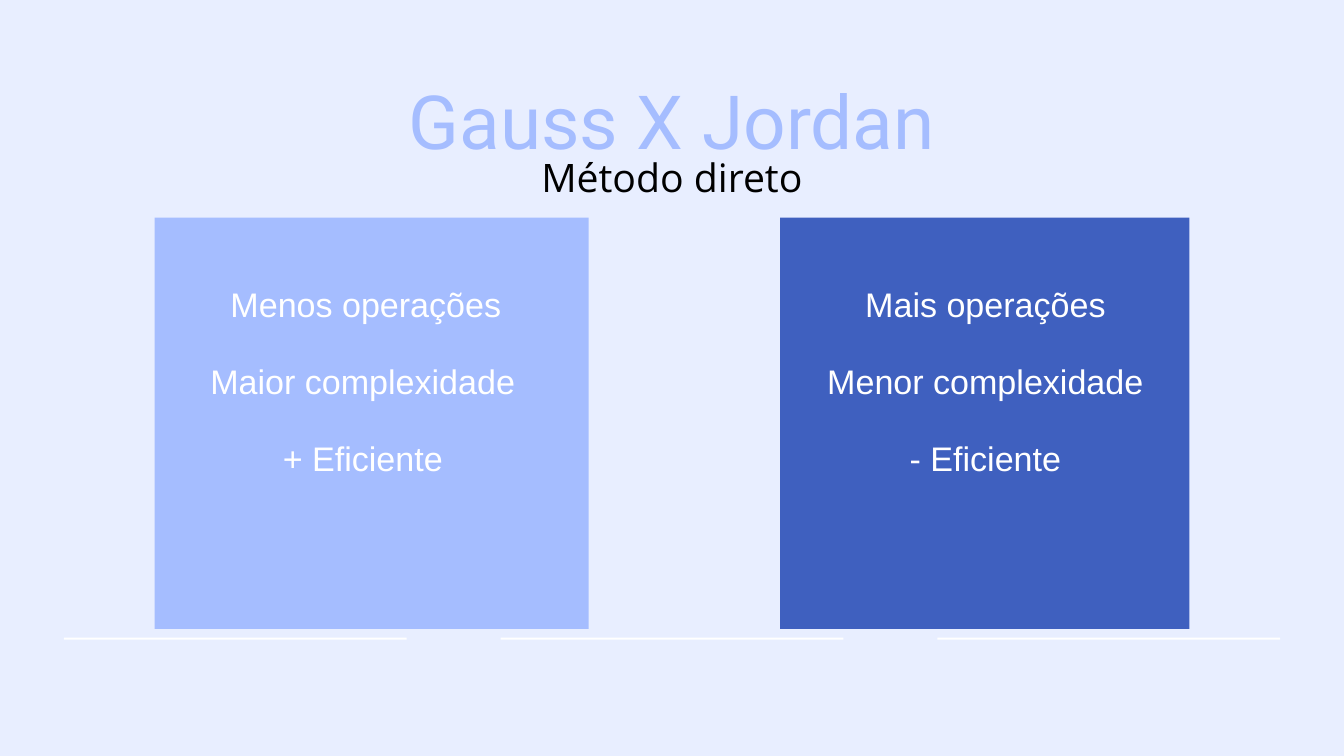
from pptx import Presentation
from pptx.dml.color import RGBColor
from pptx.enum.shapes import MSO_SHAPE
from pptx.enum.text import MSO_AUTO_SIZE, PP_ALIGN
from pptx.util import Pt

RECT = MSO_SHAPE.RECTANGLE
CENTER = PP_ALIGN.CENTER
GROW = MSO_AUTO_SIZE.SHAPE_TO_FIT_TEXT

BACKGROUND, LIGHT, DARK, WHITE, BLACK = "E8EEFF", "A5BDFF", "3F60BF", "FFFFFF", "000000"
TITLE = {"name": "Roboto", "size": 80, "color": LIGHT, "leading": 96}
SUBTITLE = {"name": "Open Sans", "size": 42, "color": BLACK, "leading": 58.8}
BODY = {"name": "Arial", "size": 36.5, "color": WHITE, "leading": 51.1}

CARD_TOP, CARD_HEIGHT = 233.3, 440.6
ROW_TOPS = (295.9, 379.4, 461.5)
CARDS = [
    (165.6, 465.1, LIGHT, [("Menos operações ", 397, 303.1),
                           ("Maior complexidade", 388.5, 331.9),
                           ("+ Eficiente", 388.8, 177.1)]),
    (835.9, 438.5, DARK, [("Mais operações", 1055.8, 261.4),
                          ("Menor complexidade", 1055.6, 344.2),
                          ("- Eficiente", 1055.8, 172.1)]),
]


def rgb(value):
    """Turn a hex string into a colour."""
    return RGBColor.from_string(value)


class Deck:
    """Holds the presentation, its style and the current slide."""

    def __init__(self, width, height, background):
        """Open a blank slide of the given size and colour."""
        self.prs = Presentation()
        self.prs.slide_width, self.prs.slide_height = Pt(width), Pt(height)
        self.s = self.prs.slides.add_slide(self.prs.slide_layouts[6])
        fill = self.s.background.fill
        fill.solid()
        fill.fore_color.rgb = rgb(background)

    def rect(self, left, top, width, height, color):
        """Draw a plain filled rectangle."""
        sp = self.s.shapes.add_shape(RECT, Pt(left), Pt(top), Pt(width), Pt(height))
        sp.shadow.inherit = False
        sp.fill.solid()
        sp.fill.fore_color.rgb = rgb(color)
        sp.line.fill.background()

    def text(self, text, center, top, width, height, style):
        """Place a line of text centred on a given x."""
        sp = self.s.shapes.add_textbox(Pt(center - width / 2), Pt(top), Pt(width), Pt(height))
        tf = sp.text_frame
        frame = {"word_wrap": True, "auto_size": GROW, "margin_left": 0,
                 "margin_right": 0, "margin_top": 0, "margin_bottom": 0}
        for key, value in frame.items():
            setattr(tf, key, value)
        p = tf.paragraphs[0]
        p.alignment = CENTER
        p.line_spacing = Pt(style["leading"])
        r = p.add_run()
        r.text = text
        for key, value in {"name": style["name"], "size": Pt(style["size"])}.items():
            setattr(r.font, key, value)
        r.font.color.rgb = rgb(style["color"])


def main():
    """Build the comparison slide."""
    deck = Deck(1440, 810, BACKGROUND)
    for left, width, color, _ in CARDS:
        deck.rect(left, CARD_TOP, width, CARD_HEIGHT, color)
    for i in range(3):
        deck.rect(68.4 + 468 * i, 683.1, 367.2, 2.2, WHITE)
    deck.text("Gauss X Jordan", 720, 79.9, 1000, 98.6, TITLE)
    for _, _, _, rows in CARDS:
        for top, (text, center, width) in zip(ROW_TOPS, rows):
            deck.text(text, center, top, width, 49, BODY)
    deck.text("Método direto", 720, 156.2, 299.5, 56.2, SUBTITLE)
    deck.prs.save("out.pptx")


if __name__ == "__main__":
    main()
